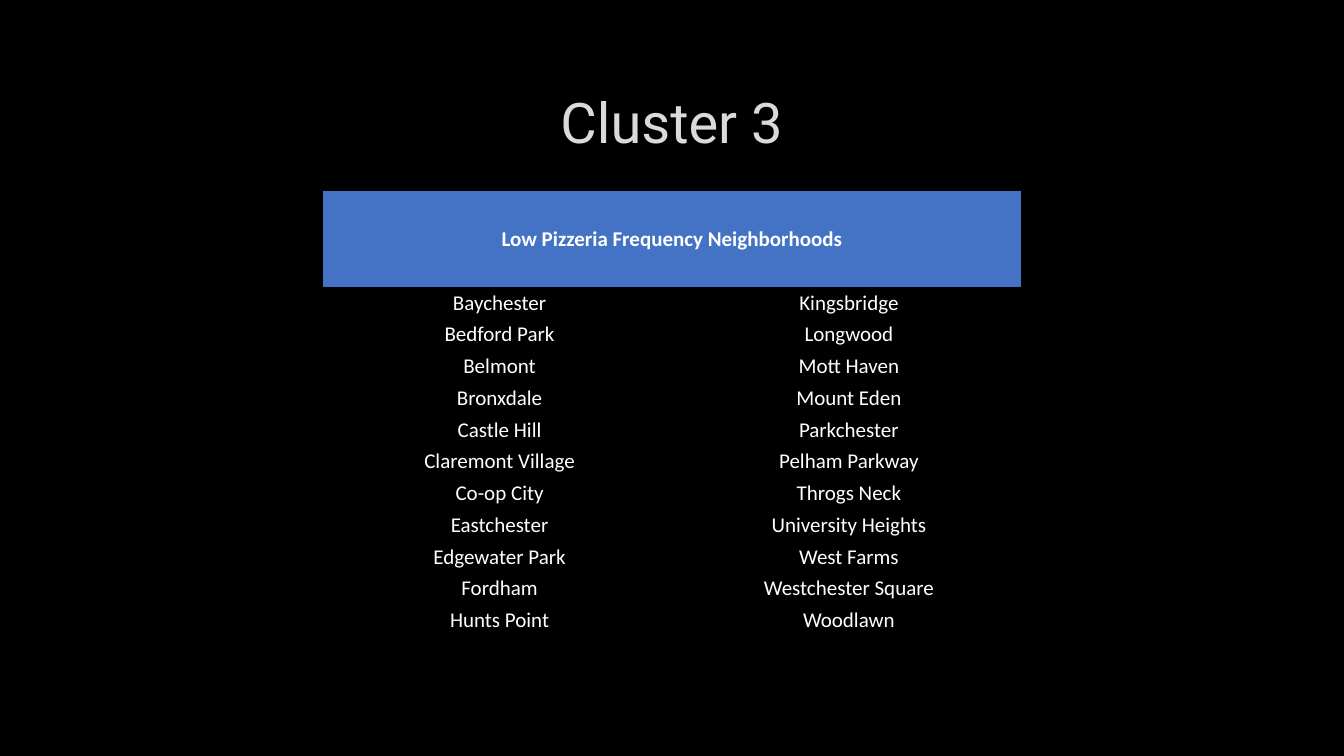
"""Build the Cluster 3 slide with its table of neighborhoods."""
from lxml import etree
from pptx import Presentation
from pptx.dml.color import RGBColor
from pptx.enum.text import MSO_ANCHOR, PP_ALIGN
from pptx.oxml.ns import qn
from pptx.util import Pt

PX = 9144
CENTER = PP_ALIGN.CENTER
TOP, MIDDLE = MSO_ANCHOR.TOP, MSO_ANCHOR.MIDDLE
color = RGBColor.from_string


def style(frame, font, size, shade, bold=False):
    para = frame.paragraphs[0]
    para.alignment = CENTER
    for run in para.runs:
        run.font.name = font
        run.font.size = Pt(size)
        run.font.bold = bold
        run.font.color.rgb = color(shade)
    return para


def border(cell, shade):
    props = cell._tc.get_or_add_tcPr()
    for side in ("lnL", "lnR", "lnT", "lnB"):
        line = etree.SubElement(props, qn(f"a:{side}"), w=str(Pt(1)))
        fill = etree.SubElement(line, qn("a:solidFill"))
        etree.SubElement(fill, qn("a:srgbClr"), val=shade)


HEAD = "Low Pizzeria Frequency Neighborhoods"
PAIRS = [
    ("Baychester", "Kingsbridge"),
    ("Bedford Park", "Longwood"),
    ("Belmont", "Mott Haven"),
    ("Bronxdale", "Mount Eden"),
    ("Castle Hill", "Parkchester"),
    ("Claremont Village", "Pelham Parkway"),
    ("Co-op City", "Throgs Neck"),
    ("Eastchester", "University Heights"),
    ("Edgewater Park", "West Farms"),
    ("Fordham", "Westchester Square"),
    ("Hunts Point", "Woodlawn"),
]

deck = Presentation()
deck.slide_width, deck.slide_height = 1333 * PX, 750 * PX
slide = deck.slides.add_slide(deck.slide_layouts[6])
back = slide.background.fill
back.solid()
back.fore_color.rgb = color("000000")

title = slide.shapes.add_textbox(100 * PX, 67 * PX, 1132 * PX, 106 * PX)
frame = title.text_frame
frame.word_wrap = True
frame.vertical_anchor = MIDDLE
frame.text = "Cluster 3"
style(frame, "Roboto", 40, "DADADA")

rows = [(HEAD, "")] + PAIRS
table = slide.shapes.add_table(
    len(rows), 2, 320 * PX, 189 * PX, 693 * PX, 444 * PX).table
table.horz_banding = False
for col, width in zip(table.columns, (351, 342)):
    col.width = width * PX

for r, names in enumerate(rows):
    head = r == 0
    table.rows[r].height = 96 * PX if head else 444 * PX * 71 // 1000
    for c, name in enumerate(names):
        cell = table.cell(r, c)
        cell.text = name
        cell.vertical_anchor = MIDDLE if head else TOP
        cell.margin_left = cell.margin_right = (9 if head else 7) * PX
        cell.margin_top = (5 if head else 1) * PX
        cell.margin_bottom = (5 if head else 0) * PX
        para = style(cell.text_frame, "Calibri", 15, "FFFFFF", head)
        para.line_spacing = 1.07
        border(cell, "000000")
        if head:
            cell.fill.solid()
            cell.fill.fore_color.rgb = color("4472C4")
        else:
            cell.fill.background()
table.cell(0, 0).merge(table.cell(0, 1))

deck.save("out.pptx")
